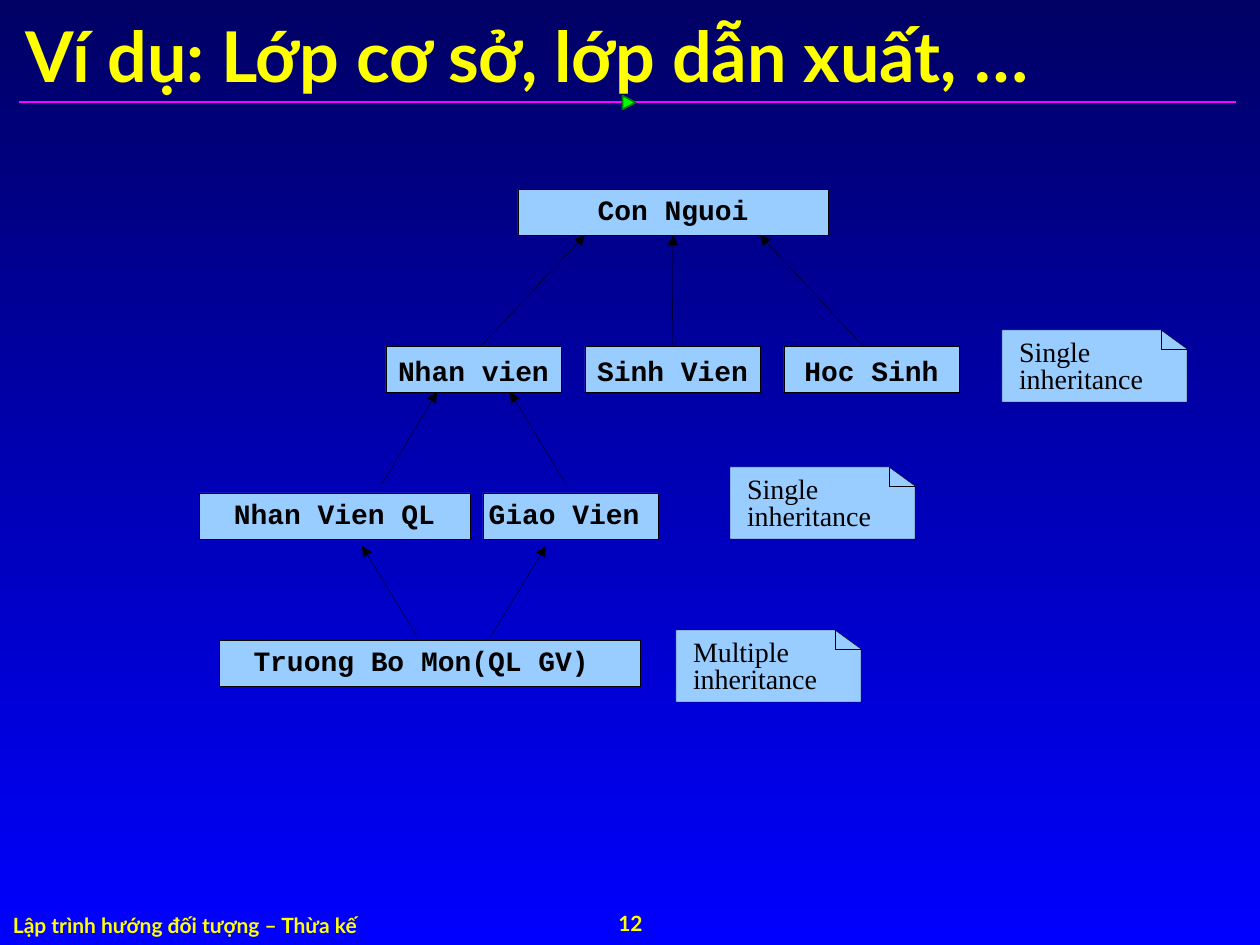
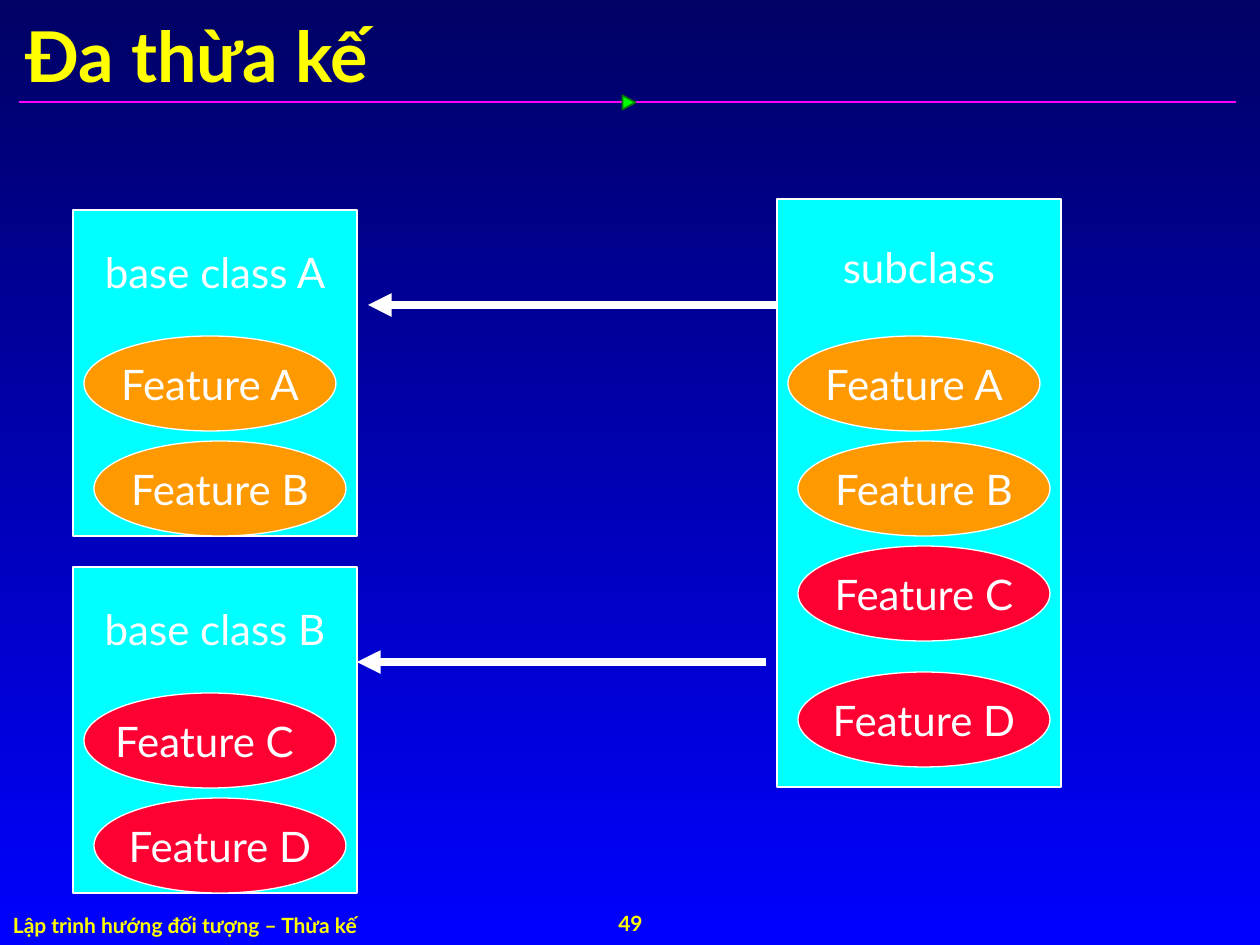
from collections import namedtuple

from lxml.etree import SubElement
from pptx import Presentation
from pptx.dml.color import RGBColor
from pptx.enum.shapes import MSO_CONNECTOR as Connector, MSO_SHAPE as Preset
from pptx.enum.text import MSO_ANCHOR as Anchor, MSO_AUTO_SIZE as AutoSize, PP_ALIGN as Align
from pptx.oxml.ns import qn
from pptx.util import Emu, Pt

PX = 914400 / 126
Box = namedtuple("Box", "x y w h")

COLORS = {
    "sky top": "000065", "sky bottom": "0000FF", "heading": "FFFF00",
    "rule": "FF01FF", "marker": "00FF00", "marker edge": "037C03",
    "class": "99CCFF", "ink": "000000", "panel": "00FFFF", "white": "FFFFFF",
    "orange": "FF9900", "red": "FF0033",
}

TITLE = {"font": {"name": "Lato", "size": Pt(40), "bold": True}, "color": "heading",
         "paragraph": {"alignment": Align.LEFT},
         "frame": {"vertical_anchor": Anchor.MIDDLE}}
FOOTER = {"font": {"name": "Lato", "size": Pt(12), "bold": True}, "color": "heading",
          "paragraph": {"alignment": Align.LEFT},
          "frame": {"vertical_anchor": Anchor.TOP}}
PAGE_NUMBER = {**FOOTER, "paragraph": {"alignment": Align.CENTER},
               "frame": {"vertical_anchor": Anchor.MIDDLE}}
CLASS_NAME = {"font": {"name": "Courier New", "size": Pt(16), "bold": True}, "color": "ink",
              "paragraph": {"alignment": Align.CENTER, "line_spacing": 0.8},
              "frame": {"vertical_anchor": Anchor.TOP}, "margins": (0, 10, 0, 0)}
NOTE = {**CLASS_NAME, "font": {"name": "Times New Roman", "size": Pt(16)},
        "paragraph": {"alignment": Align.LEFT, "line_spacing": 0.8},
        "margins": (17, 11, 16, 0)}
FEATURE = {"font": {"name": "Lato", "size": Pt(24)}, "color": "white",
           "paragraph": {"alignment": Align.CENTER},
           "frame": {"vertical_anchor": Anchor.MIDDLE, "word_wrap": False}}
PANEL = {**FEATURE, "frame": {"vertical_anchor": Anchor.TOP}}


def emu(*lengths):
    return [Emu(round(length * PX)) for length in lengths]


def rgb(name):
    return RGBColor.from_string(COLORS[name])


def set_attributes(target, values):
    for name, value in values.items():
        setattr(target, name, value)


def write(shape, text, style, margins=None):
    """Put text in a shape; margins are left, top, right, bottom."""
    frame = shape.text_frame
    frame.text = text
    left, top, right, bottom = emu(*(margins or style.get("margins", (13, 6, 13, 6))))
    set_attributes(frame, {
        "word_wrap": True, "auto_size": AutoSize.NONE, "margin_left": left,
        "margin_top": top, "margin_right": right, "margin_bottom": bottom,
        **style["frame"]})
    paragraph = frame.paragraphs[0]
    set_attributes(paragraph, style["paragraph"])
    set_attributes(paragraph.font, style["font"])
    paragraph.font.color.rgb = rgb(style["color"])


def paint(shape, fill, edge, width):
    """Set fill and outline; a fill of None leaves the shape open."""
    shape.shadow.inherit = False
    if fill:
        shape.fill.solid()
        shape.fill.fore_color.rgb = rgb(fill)
    else:
        shape.fill.background()
    shape.line.color.rgb = rgb(edge)
    shape.line.width = Pt(width)


def add_preset(slide, preset, box, fill, edge, width):
    shape = slide.shapes.add_shape(preset, *emu(*box))
    paint(shape, fill, edge, width)
    return shape


def add_outline(slide, points, fill, closed):
    builder = slide.shapes.build_freeform(*points[0], scale=PX)
    builder.add_line_segments(points[1:], close=closed)
    outline = builder.convert_to_shape()
    paint(outline, fill, "ink", 0.2)
    return outline


def add_line(slide, start, end, color, width, arrow=True):
    line = slide.shapes.add_connector(Connector.STRAIGHT, *emu(*start, *end))
    line.line.color.rgb = rgb(color)
    line.line.width = Pt(width)
    properties = line.element.spPr
    if arrow:
        SubElement(properties.find(qn("a:ln")), qn("a:tailEnd"), type="triangle")
    SubElement(properties, qn("a:effectLst"))
    return line


def add_label(slide, box, text, style):
    write(slide.shapes.add_textbox(*emu(*box)), text, style)


def set_background(master):
    fill = master.background.fill
    fill.gradient()
    fill.gradient_angle = 270
    for stop, color in zip(fill.gradient_stops, ("sky top", "sky bottom")):
        stop.color.rgb = rgb(color)


def add_lecture_slide(prs, title, number):
    """Add a slide with its title, rule and footer."""
    slide = prs.slides.add_slide(prs.slide_layouts[5])
    heading = slide.shapes.title
    left, top, width, height = emu(13, 18, 1240, 73)
    set_attributes(heading, {"left": left, "top": top, "width": width, "height": height})
    write(heading, title, TITLE)
    add_line(slide, (19, 102), (1236, 102), "rule", 1, arrow=False)
    marker = add_preset(slide, Preset.ISOSCELES_TRIANGLE, Box(622, 96, 14, 13),
                        "marker", "marker edge", 1)
    marker.rotation = 90
    add_label(slide, Box(0, 907, 643, 38), "Lập trình hướng đối tượng – Thừa kế", FOOTER)
    add_label(slide, Box(431, 903, 399, 40), str(number), PAGE_NUMBER)
    return slide


def add_class(slide, box, name, margins=None):
    class_box = add_preset(slide, Preset.RECTANGLE, box, "class", "ink", 0.2)
    write(class_box, name, CLASS_NAME, margins)
    return class_box


def add_note(slide, box, text):
    """Draw a note whose top right corner is folded."""
    right, bottom = box.x + box.w, box.y + box.h
    fold_x, fold_y = right - 26, box.y + 19
    page = add_outline(slide, [(fold_x, box.y), (right, fold_y), (right, bottom),
                               (box.x, bottom), (box.x, box.y)], "class", True)
    write(page, text, NOTE)
    add_outline(slide, [(right, fold_y), (fold_x, fold_y), (fold_x, box.y)], None, False)


def add_hierarchy(slide, x, y):
    """Draw the class tree and its notes from the given top left corner."""
    height = 46
    person = add_class(slide, Box(x + 319, y, 310, height), "Con Nguoi")
    employee, student, pupil = [
        add_class(slide, Box(x + 187 + 199 * i, y + 157, 175, height), name, (0, 14, 0, 0))
        for i, name in enumerate(("Nhan vien", "Sinh Vien", "Hoc Sinh"))]
    add_class(slide, Box(x, y + 304, 271, height), "Nhan Vien QL")
    add_class(slide, Box(x + 284, y + 304, 175, height), "Giao Vien", (0, 10, 13, 0))
    add_class(slide, Box(x + 20, y + 451, 421, height), "Truong Bo Mon(QL GV) ")

    student_link = add_line(slide, (x + 474, y + 157), (x + 474, y + height), "ink", 0.2)
    student_link.begin_connect(student, 0)
    student_link.end_connect(person, 2)
    for x1, y1, x2, y2 in ((282, 157, 386, 46), (664, 157, 561, 46),
                           (183, 295, 238, 203), (367, 295, 311, 203),
                           (219, 449, 163, 357), (291, 449, 347, 357)):
        add_line(slide, (x + x1, y + y1), (x + x2, y + y2), "ink", 0.2)

    for note_x, note_y, kind in ((803, 141, "Single"), (531, 278, "Single"),
                                 (477, 441, "Multiple")):
        add_note(slide, Box(x + note_x, y + note_y, 185, 72), f"{kind} inheritance")


def add_class_panel(slide, box, name, name_top, features):
    """Draw a class panel; each feature is (x, y, text, color) inside it."""
    panel = add_preset(slide, Preset.RECTANGLE, box, "panel", "white", 0.75)
    write(panel, name, PANEL, (13, name_top, 13, 6))
    for x, y, text, color in features:
        oval = add_preset(slide, Preset.OVAL, Box(box.x + x, box.y + y, 252, 95),
                          color, "white", 0.75)
        write(oval, text, FEATURE)


def build_hierarchy_slide(prs):
    slide = add_lecture_slide(prs, "Ví dụ: Lớp cơ sở, lớp dẫn xuất, …", 12)
    add_hierarchy(slide, 199, 189)


def build_multiple_slide(prs):
    slide = add_lecture_slide(prs, "Đa thừa kế", 49)
    bases = (("base class A", 210, "orange", ("Feature A", "Feature B")),
             ("base class B", 567, "red", ("Feature C ", "Feature D")))
    for name, top, color, features in bases:
        add_class_panel(slide, Box(73, top, 284, 326), name, 37,
                        [(11 + 10 * i, 126 + 105 * i, feature, color)
                         for i, feature in enumerate(features)])
    add_class_panel(slide, Box(777, 199, 284, 588), "subclass", 42, (
        (11, 137, "Feature A", "orange"), (21, 242, "Feature B", "orange"),
        (21, 347, "Feature C", "red"), (21, 473, "Feature D", "red")))
    for start_x, end_x, y in ((777, 368, 305), (766, 357, 662)):
        add_line(slide, (start_x, y), (end_x, y), "white", 4.5)


def main():
    prs = Presentation()
    prs.slide_width, prs.slide_height = emu(1260, 945)
    set_background(prs.slide_master)
    build_hierarchy_slide(prs)
    build_multiple_slide(prs)
    prs.save("out.pptx")


if __name__ == "__main__":
    main()
